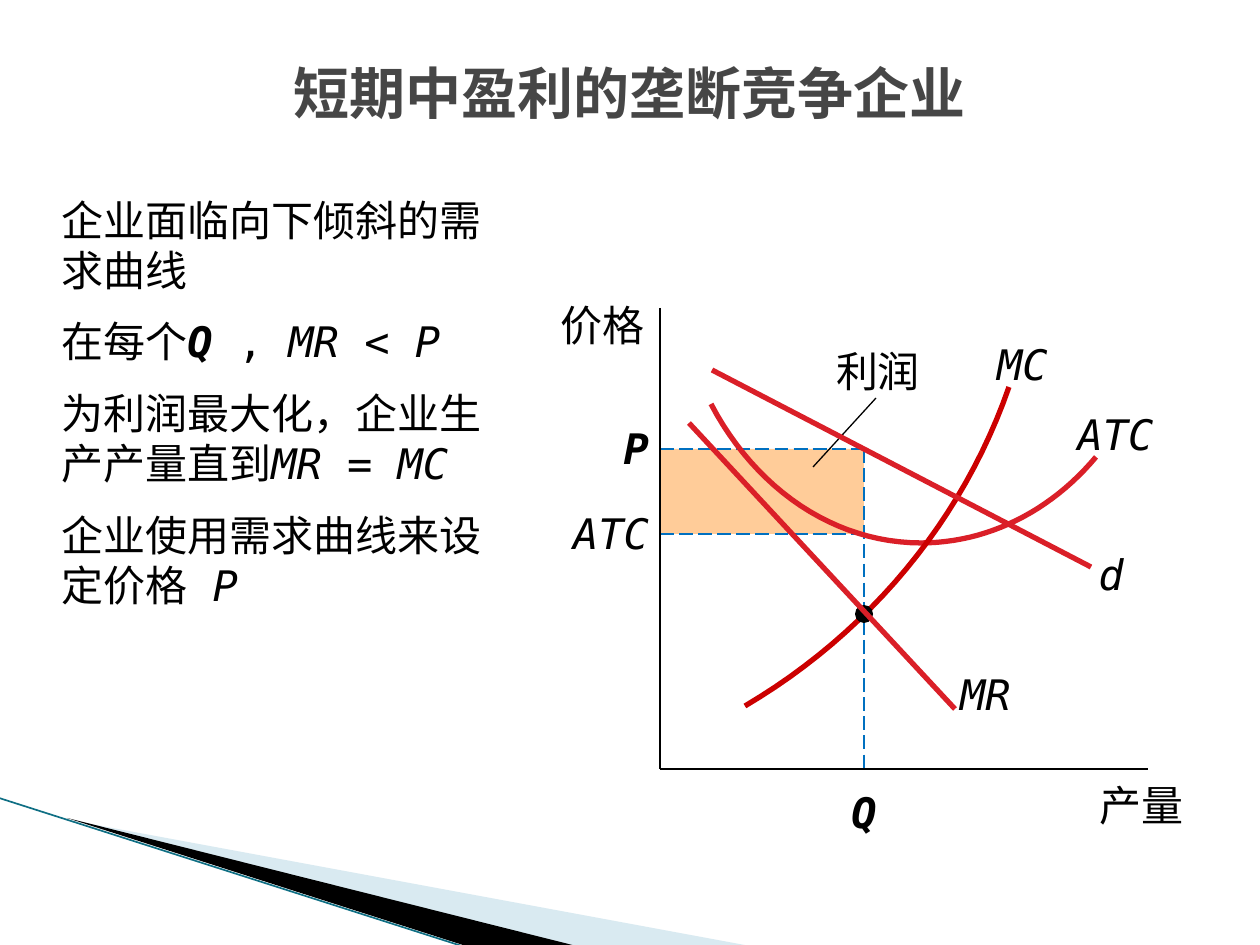
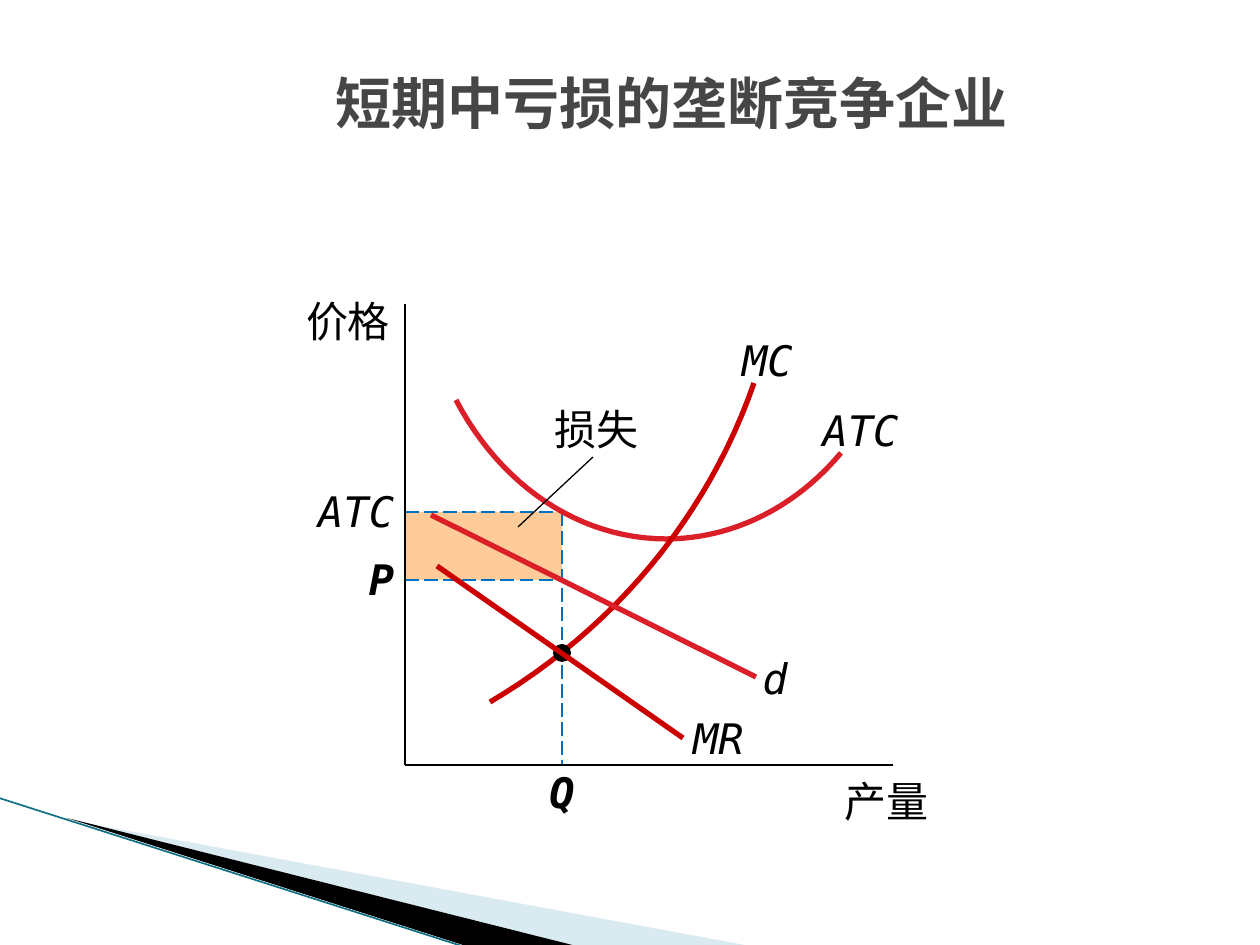
from lxml.etree import SubElement
from pptx import Presentation
from pptx.dml.color import RGBColor
from pptx.enum.dml import MSO_LINE
from pptx.enum.shapes import MSO_CONNECTOR as LINK, MSO_SHAPE as SHAPE
from pptx.enum.text import MSO_ANCHOR as ANCHOR, PP_ALIGN as ALIGN
from pptx.oxml.ns import qn
from pptx.util import Emu, Pt

PX = 914400 / 126
FONT = "DejaVu Sans Mono"
BLACK = RGBColor(0x00, 0x00, 0x00)
TITLE_GREY = RGBColor(0x46, 0x46, 0x46)
BRIGHT_RED = RGBColor(0xDA, 0x1F, 0x28)
DEEP_RED = RGBColor(0xCC, 0x00, 0x00)
GUIDE_BLUE = RGBColor(0x00, 0x70, 0xC0)
AREA_ORANGE = RGBColor(0xFF, 0xCC, 0x99)
WEDGE_BLUE = RGBColor(0xA0, 0xCB, 0xDC)
EDGE_TEAL = RGBColor(0x0F, 0x6F, 0x84)

AXIS_HEIGHT, AXIS_WIDTH = 461, 488
ATC_CURVE = [(436, -312), (390, -257), (327, -226), (261, -226),
             (175, -226), (96, -279), (51, -365)]
MC_CURVE = [(85, -63), (209, -136), (303, -249), (349, -382)]


def emu(px):
    return Emu(round(px * PX))


def bezier(points, steps=24):
    curve = [points[0]]
    for start in range(0, len(points) - 1, 3):
        a, b, c, d = points[start:start + 4]
        for step in range(1, steps + 1):
            t = step / steps
            u = 1 - t
            curve.append(tuple(u**3 * a[k] + 3 * u * u * t * b[k] + 3 * u * t * t * c[k] + t**3 * d[k]
                               for k in (0, 1)))
    return curve


class Deck:
    """Draws styled elements on the current slide, in px from a movable origin."""

    def __init__(self):
        self.prs = Presentation()
        self.prs.slide_width, self.prs.slide_height = emu(1260), emu(945)

    def new_slide(self, title, left, top, height):
        self.shapes = self.prs.slides.add_slide(self.prs.slide_layouts[6]).shapes
        self.origin = (0, 0)
        self.path_shape([(69, 820), (750, 946), (575, 946)], fill=WEDGE_BLUE, alpha=40)
        self.path_shape([(67, 818), (576, 946), (469, 947)], fill=BLACK)
        self.line((-1, 798), (468, 948), EDGE_TEAL, 0.95)
        self.text((left, top, 1134, height), [[(title, "b")]], ALIGN.CENTER, 32, TITLE_GREY,
                  inset=True, anchor=ANCHOR.MIDDLE)

    def at(self, x, y):
        return emu(self.origin[0] + x), emu(self.origin[1] + y)

    def text(self, box, paragraphs, align=ALIGN.LEFT, size=24, color=BLACK, inset=False,
             anchor=ANCHOR.TOP):
        x, y, width, height = box
        frame = self.shapes.add_textbox(*self.at(x, y), emu(width), emu(height)).text_frame
        frame.word_wrap = True
        frame.vertical_anchor = anchor
        if not inset:
            frame.margin_left = frame.margin_right = frame.margin_top = frame.margin_bottom = 0
        for index, runs in enumerate(paragraphs):
            para = frame.add_paragraph() if index else frame.paragraphs[0]
            para.alignment = align
            if index:
                para.space_before = Pt(size / 2)
            for words, style in runs:
                run = para.add_run()
                run.text = words
                font = run.font
                font.size, font.name = Pt(size), FONT
                font.bold, font.italic = "b" in style, "i" in style
                font.color.rgb = color
                SubElement(font._element, qn("a:ea")).set("typeface", FONT)

    def label(self, words, x, y, width, style="i", align=ALIGN.CENTER):
        self.text((x, y, width, 50), [[(words, style)]], align)

    def line(self, start, end, color=BLACK, width=0.75, dashed=False):
        link = self.shapes.add_connector(LINK.STRAIGHT, *self.at(*start), *self.at(*end))
        link.line.color.rgb = color
        link.line.width = Pt(width)
        if dashed:
            link.line.dash_style = MSO_LINE.LONG_DASH
        SubElement(link._element.spPr, qn("a:effectLst"))

    def guide(self, start, end):
        self.line(start, end, GUIDE_BLUE, 1, dashed=True)

    def path_shape(self, points, fill=None, alpha=None, stroke=None):
        start, *rest = [self.at(*point) for point in points]
        builder = self.shapes.build_freeform(*start, scale=1.0)
        builder.add_line_segments(rest, close=fill is not None)
        outline = builder.convert_to_shape()
        outline.shadow.inherit = False
        if fill is None:
            outline.fill.background()
            outline.line.color.rgb = stroke
            outline.line.width = Pt(3)
            return
        outline.fill.solid()
        outline.fill.fore_color.rgb = fill
        outline.line.fill.background()
        if alpha:
            tint = outline._element.spPr.find(f"{qn('a:solidFill')}/{qn('a:srgbClr')}")
            SubElement(tint, qn("a:alpha")).set("val", str(alpha * 1000))

    def solid(self, kind, x, y, width, height, fill):
        shape = self.shapes.add_shape(kind, *self.at(x, y), emu(width), emu(height))
        shape.shadow.inherit = False
        shape.fill.solid()
        shape.fill.fore_color.rgb = fill
        shape.line.fill.background()

    def market(self, origin, quantity, upper, lower, crossing, quantity_top):
        self.origin = origin
        self.solid(SHAPE.RECTANGLE, 0, upper[1], quantity, lower[1] - upper[1], AREA_ORANGE)
        for name, level, style in (upper, lower):
            self.guide((0, level), (quantity, level))
            self.label(name, -104, level - 26, 93, style, ALIGN.RIGHT)
        self.guide((quantity, upper[1]), (quantity, 0))
        self.label("Q", quantity - 36, quantity_top, 72, "bi")
        self.line((0, -AXIS_HEIGHT), (0, 0))
        self.line((0, 0), (AXIS_WIDTH, 0))
        self.label("产量", 354, 11, 169, "", ALIGN.RIGHT)
        self.label("价格", -219, -469, 204, "", ALIGN.RIGHT)
        self.path_shape(bezier(ATC_CURVE), stroke=BRIGHT_RED)
        self.label("ATC", 398, -360, 115)
        self.path_shape(bezier(MC_CURVE), stroke=DEEP_RED)
        self.label("MC", 322, -430, 81)
        self.solid(SHAPE.OVAL, quantity - 9, crossing - 9, 18, 18, BLACK)

    def callout(self, words, x, y, width, start, end):
        self.label(words, x, y, width, "")
        self.line(start, end)

    def schedule(self, name, start, end, color, x, y, width):
        self.line(start, end, color, 3)
        self.label(name, x, y, width)


def profit_slide(deck):
    deck.new_slide("短期中盈利的垄断竞争企业", 63, 37, 111)
    deck.text((49, 188, 467, 640), [
        [("企业面临向下倾斜的需求曲线", "")],
        [("在每个", ""), ("Q ", "bi"), (", ", ""), ("MR", "i"), (" < ", ""), ("P", "i")],
        [("为利润最大化，企业生产产量直到", ""), ("MR", "i"), (" = ", ""), ("MC", "i")],
        [("企业使用需求曲线来设定价格 ", ""), ("P", "i")],
    ], inset=True)
    deck.market((660, 769), 204, ("P", -320, "bi"), ("ATC", -235, "i"), -155, 18)
    deck.callout("利润", 151, -423, 134, (153, -302), (216, -371))
    deck.schedule("d", (52, -399), (431, -202), BRIGHT_RED, 421, -220, 60)
    deck.schedule("MR", (29, -346), (295, -60), BRIGHT_RED, 285, -100, 81)


def loss_slide(deck):
    deck.new_slide("短期中亏损的垄断竞争企业", 105, 45, 115)
    deck.market((405, 765), 157, ("ATC", -253, "i"), ("P", -185, "bi"), -112, 2)
    deck.callout("损失", 112, -361, 160, (113, -238), (188, -308))
    deck.schedule("d", (26, -250), (351, -88), BRIGHT_RED, 340, -112, 60)
    deck.schedule("MR", (32, -199), (278, -27), DEEP_RED, 273, -52, 81)


def main():
    deck = Deck()
    profit_slide(deck)
    loss_slide(deck)
    deck.prs.save("out.pptx")


if __name__ == "__main__":
    main()
